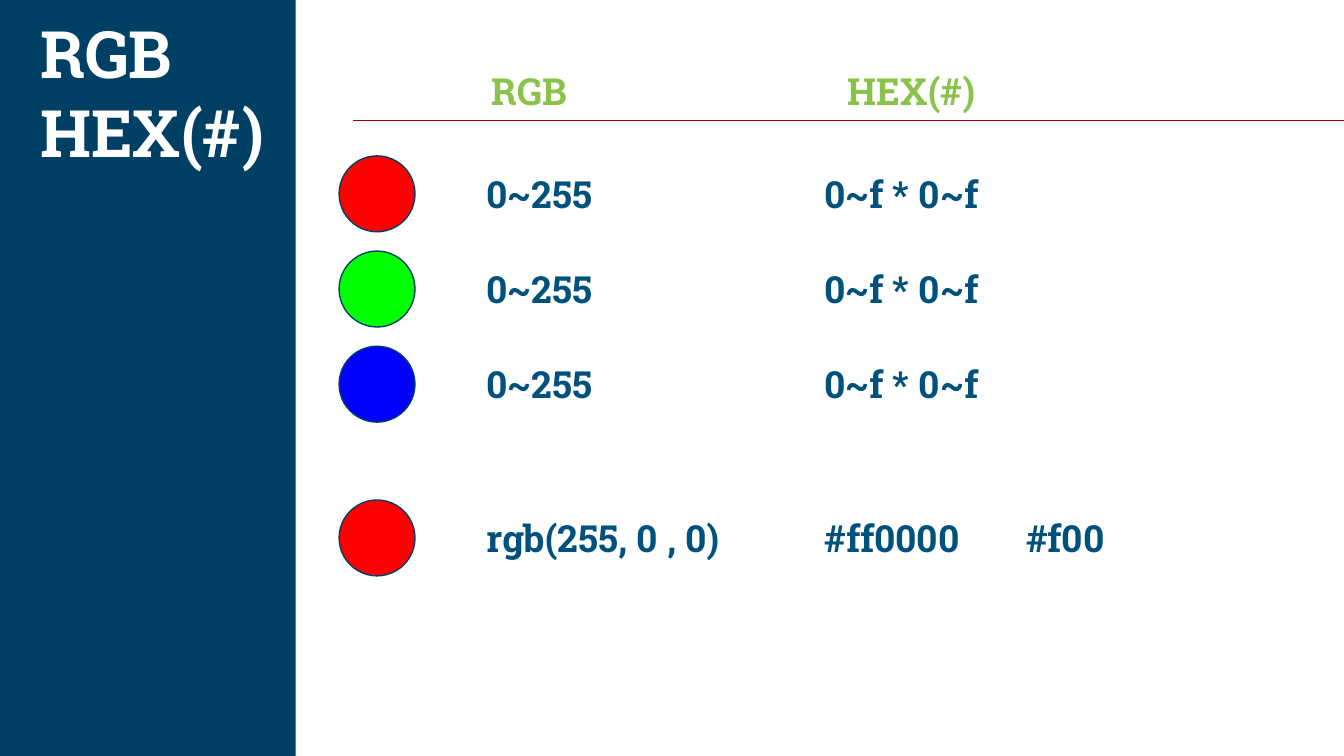
import lxml.etree
import pptx
import pptx.dml.color
import pptx.enum.shapes
import pptx.enum.text
import pptx.oxml.ns
import pptx.util

Color = pptx.dml.color.RGBColor
Shape = pptx.enum.shapes.MSO_SHAPE
Anchor = pptx.enum.text.MSO_ANCHOR

NAVY = Color(0x00, 0x40, 0x65)
OCEAN = Color(0x00, 0x51, 0x7C)
LIME = Color(0x8B, 0xC3, 0x4A)
MAROON = Color(0x98, 0x00, 0x00)
WHITE = Color(0xFF, 0xFF, 0xFF)
RED = Color(0xFF, 0x00, 0x00)
GREEN = Color(0x00, 0xFF, 0x00)
BLUE = Color(0x00, 0x00, 0xFF)

COLUMNS, ROWS = 100, 56.25
CIRCLE_COLUMN, RGB_COLUMN, HEX_COLUMN = 25.23, 33.2, 58.36
FIRST_ROW, ROW_STEP, EXAMPLE_ROW = 11.2, 7.08, 36.8


class ColorSlide:
    """Draws colour-notation elements on a grid of 100 columns by 56.25 rows."""

    FONT = "Roboto Slab"
    CELL = pptx.util.Inches(0.1)

    def __init__(self, deck):
        deck.slide_width, deck.slide_height = self.grid(COLUMNS, ROWS)
        self.page = deck.slides.add_slide(deck.slide_layouts[6])

    def grid(self, *lengths):
        return [round(length * self.CELL) for length in lengths]

    def panel(self, *area):
        panel = self.page.shapes.add_shape(Shape.ROUNDED_RECTANGLE, *self.grid(*area))
        panel.adjustments[0] = 0
        panel.shadow.inherit = False
        panel.fill.solid()
        panel.fill.fore_color.rgb = NAVY
        panel.line.fill.background()

    def rule(self, *ends):
        kind = pptx.enum.shapes.MSO_CONNECTOR.STRAIGHT
        rule = self.page.shapes.add_connector(kind, *self.grid(*ends))
        rule.line.color.rgb = MAROON
        rule.line.width = pptx.util.Pt(0.75)
        properties = rule._element.spPr
        lxml.etree.SubElement(properties, pptx.oxml.ns.qn("a:effectLst"))

    def text(self, lines, area, color, size=20, anchor=Anchor.TOP, tab=None, parent=None):
        shapes = (parent or self.page).shapes
        frame = shapes.add_textbox(*self.grid(*area)).text_frame
        margins = ("margin_left", "margin_top", "margin_right", "margin_bottom")
        layout = {"word_wrap": True, "vertical_anchor": anchor}
        layout.update(dict.fromkeys(margins, self.CELL))
        for name, value in layout.items():
            setattr(frame, name, value)
        style = {"name": self.FONT, "size": pptx.util.Pt(size), "bold": True}
        for index, line in enumerate(lines):
            para = frame.paragraphs[0] if index == 0 else frame.add_paragraph()
            properties = para._p.get_or_add_pPr()
            properties.set("marL", str(2 * self.CELL))
            properties.set("indent", "0")
            if tab:
                tabs = lxml.etree.SubElement(properties, pptx.oxml.ns.qn("a:tabLst"))
                stop = lxml.etree.SubElement(tabs, pptx.oxml.ns.qn("a:tab"))
                stop.set("pos", str(self.grid(tab)[0]))
                stop.set("algn", "l")
            span = para.add_run()
            span.text = line
            for name, value in style.items():
                setattr(span.font, name, value)
            span.font.color.rgb = color

    def circle(self, area, color, parent):
        circle = parent.shapes.add_shape(Shape.OVAL, *self.grid(*area))
        circle.shadow.inherit = False
        circle.fill.solid()
        circle.fill.fore_color.rgb = color
        circle.line.color.rgb = NAVY
        circle.line.width = pptx.util.Pt(0.75)

    def row(self, top, color, rgb, code, rgb_width=15.2, tab=None):
        group = self.page.shapes.add_group_shape()
        self.circle((CIRCLE_COLUMN, top + 0.4, 5.65, 5.65), color, group)
        middle = {"anchor": Anchor.MIDDLE, "parent": group}
        self.text([rgb], (RGB_COLUMN, top, rgb_width, 6.4), OCEAN, **middle)
        self.text([code], (HEX_COLUMN, top, 25.9, 6.4), OCEAN, tab=tab, **middle)


def main():
    deck = pptx.Presentation()
    slide = ColorSlide(deck)
    slide.panel(0, 0, 22, ROWS)
    slide.text(["RGB", "HEX(#)"], (0, 0, 32.8, 9.2), WHITE, size=35)
    slide.rule(26.3, 8.97, 100.8, 8.97)
    for heading, left in (("RGB", 33.6), ("HEX(#)", 60.1)):
        slide.text([heading], (left, 4.1, 16.4, 4.6), LIME)
    for index, color in enumerate((RED, GREEN, BLUE)):
        slide.row(FIRST_ROW + index * ROW_STEP, color, "0~255", "0~f * 0~f")
    slide.row(EXAMPLE_ROW, RED, "rgb(255, 0 , 0)", "#ff0000\t#f00", rgb_width=23, tab=12.45)
    deck.save("out.pptx")


if __name__ == "__main__":
    main()
